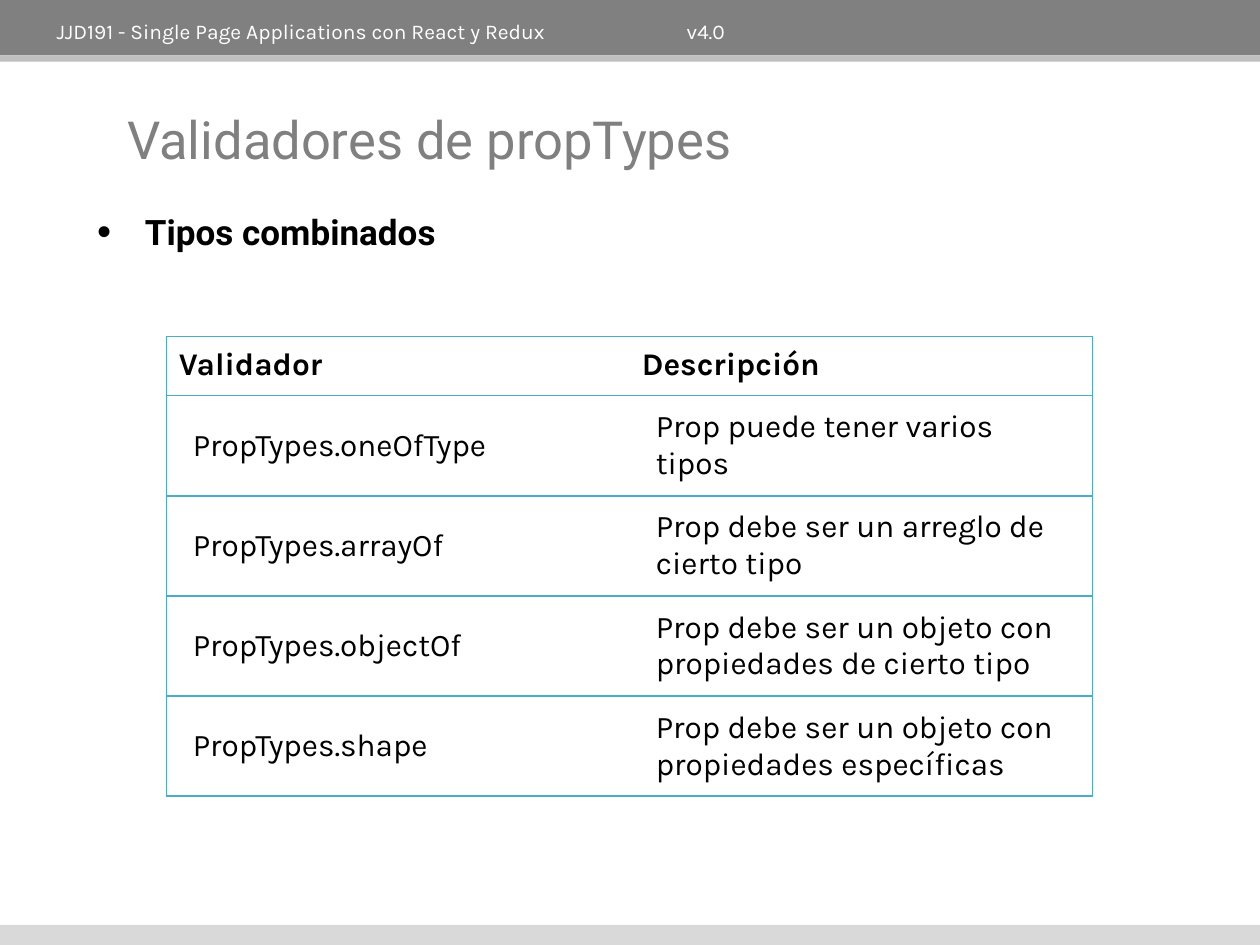
"""Build the slide on combined propTypes validators."""
from dataclasses import dataclass
from typing import NamedTuple

from lxml import etree
from pptx import Presentation
from pptx import util as u
from pptx.dml.color import RGBColor
from pptx.enum import shapes, text
from pptx.oxml import ns

COLUMNS, ROWS = 100, 75
WIDTH, HEIGHT = u.Inches(10), u.Inches(7.5)


@dataclass(frozen=True)
class Theme:
    """Colours, fonts and type sizes of the slide."""
    heading_font: str = "Roboto"
    text_font: str = "Karla"
    bar: str = "808080"
    stripe: str = "BFBFBF"
    footer: str = "D9D9D9"
    paper: str = "FFFFFF"
    ink: str = "000000"
    border: str = "4BACC6"
    title_size: float = 30
    body_size: float = 20
    table_size: float = 18
    header_size: float = 12


class Area(NamedTuple):
    """A place in grid columns and rows."""
    column: float
    row: float
    columns: float
    rows: float


class Band(NamedTuple):
    """A full-width strip of the page."""
    row: float
    rows: float
    color: str


class Entry(NamedTuple):
    """One line of the validator table."""
    validator: str
    description: str


THEME = Theme()
BANDS = (Band(0, 4.4, THEME.bar), Band(4.4, 0.5, THEME.stripe), Band(73.4, 1.6, THEME.footer))
ENTRIES = (
    Entry("Validador", "Descripción"),
    Entry("PropTypes.oneOfType", "Prop puede tener varios tipos"),
    Entry("PropTypes.arrayOf", "Prop debe ser un arreglo de cierto tipo"),
    Entry("PropTypes.objectOf", "Prop debe ser un objeto con propiedades de cierto tipo"),
    Entry("PropTypes.shape", "Prop debe ser un objeto con propiedades específicas"),
)


def across(columns: float) -> int:
    """Turn grid columns into a length."""
    return round(WIDTH * columns / COLUMNS)


def down(rows: float) -> int:
    """Turn grid rows into a length."""
    return round(HEIGHT * rows / ROWS)


def frame(area: Area) -> tuple:
    """Give left, top, width and height of an area."""
    return across(area.column), down(area.row), across(area.columns), down(area.rows)


def write(text_frame, words: str, font: str, size: float, color: str, bold: bool = False):
    """Write one left-aligned paragraph and return it."""
    text_frame.text = words
    para = text_frame.paragraphs[0]
    para.alignment = text.PP_ALIGN.LEFT
    for span in para.runs:
        span.font.name = font
        span.font.size = u.Pt(size)
        span.font.bold = bold
        span.font.color.rgb = RGBColor.from_string(color)
    return para


def place(box, area: Area, anchor) -> None:
    """Move a text box or placeholder and set how its text sits."""
    box.left, box.top, box.width, box.height = frame(area)
    box.text_frame.word_wrap = True
    box.text_frame.auto_size = text.MSO_AUTO_SIZE.NONE
    box.text_frame.vertical_anchor = anchor


def draw_band(page, band: Band) -> None:
    """Draw a plain strip across the page."""
    area = Area(0, band.row, COLUMNS, band.rows)
    strip = page.shapes.add_shape(shapes.MSO_SHAPE.RECTANGLE, *frame(area))
    strip.shadow.inherit = False
    strip.fill.solid()
    strip.fill.fore_color.rgb = RGBColor.from_string(band.color)
    strip.line.fill.background()


def add_bullet(para) -> None:
    """Give a paragraph a hanging round bullet."""
    para.space_before = u.Pt(THEME.body_size * 0.2)
    props = para._p.get_or_add_pPr()
    props.set("marL", str(across(3.8)))
    props.set("indent", str(-across(3.8)))
    etree.SubElement(props, ns.qn("a:buSzPct")).set("val", "115000")
    etree.SubElement(props, ns.qn("a:buChar")).set("char", "•")


def draw_borders(cell, sides: str) -> None:
    """Line the named sides of a cell and clear the others."""
    props = cell._tc.get_or_add_tcPr()
    for side in "LRTB":
        line = etree.SubElement(props, ns.qn(f"a:ln{side}"), w=str(u.Pt(1)))
        if side in sides:
            fill = etree.SubElement(line, ns.qn("a:solidFill"))
            etree.SubElement(fill, ns.qn("a:srgbClr"), val=THEME.border)
        else:
            etree.SubElement(line, ns.qn("a:noFill"))


def fill_cell(cell, words: str, header: bool, sides: str) -> None:
    """Write and format one table cell."""
    draw_borders(cell, sides)
    cell.fill.solid()
    cell.fill.fore_color.rgb = RGBColor.from_string(THEME.paper)
    cell.vertical_anchor = text.MSO_ANCHOR.MIDDLE
    cell.margin_left = cell.margin_right = across(1 if header else 2.1)
    cell.margin_top = down(0.8 if header else 1)
    cell.margin_bottom = down(0.9 if header else 1)
    write(cell.text_frame, words, THEME.text_font, THEME.table_size, THEME.ink, header)


def draw_table(page, area: Area, header_rows: float) -> None:
    """Draw the validators with their descriptions."""
    table = page.shapes.add_table(len(ENTRIES), 2, *frame(area)).table
    table.first_row = table.horz_banding = False
    entry_rows = (area.rows - header_rows) / (len(ENTRIES) - 1)
    for index, entry in enumerate(ENTRIES):
        header = index == 0
        table.rows[index].height = down(header_rows if header else entry_rows)
        for column, (words, sides) in enumerate(zip(entry, ("LTB", "RTB"))):
            fill_cell(table.cell(index, column), words, header, sides)


def main() -> None:
    """Build and save the deck."""
    deck = Presentation()
    deck.slide_width, deck.slide_height = WIDTH, HEIGHT
    page = deck.slides.add_slide(deck.slide_layouts[1])
    for band in BANDS:
        draw_band(page, band)

    header_area = Area(3.5, 0.9, 84.5, 3.1)
    header = page.shapes.add_textbox(*frame(header_area))
    place(header, header_area, text.MSO_ANCHOR.MIDDLE)
    write(header.text_frame, "JJD191 - Single Page Applications con React y Redux \t\t\tv4.0",
          THEME.text_font, THEME.header_size, THEME.paper)

    title, body = page.placeholders
    place(title, Area(9.1, 7.6, 64.7, 6.8), text.MSO_ANCHOR.MIDDLE)
    write(title.text_frame, "Validadores de propTypes",
          THEME.heading_font, THEME.title_size, THEME.bar)
    place(body, Area(6.7, 16.2, 85.5, 52), text.MSO_ANCHOR.TOP)
    add_bullet(write(body.text_frame, "Tipos combinados",
                     THEME.heading_font, THEME.body_size, THEME.ink, True))

    draw_table(page, Area(13.2, 26.7, 73.5, 36.5), 4.7)
    deck.save("out.pptx")


if __name__ == "__main__":
    main()
